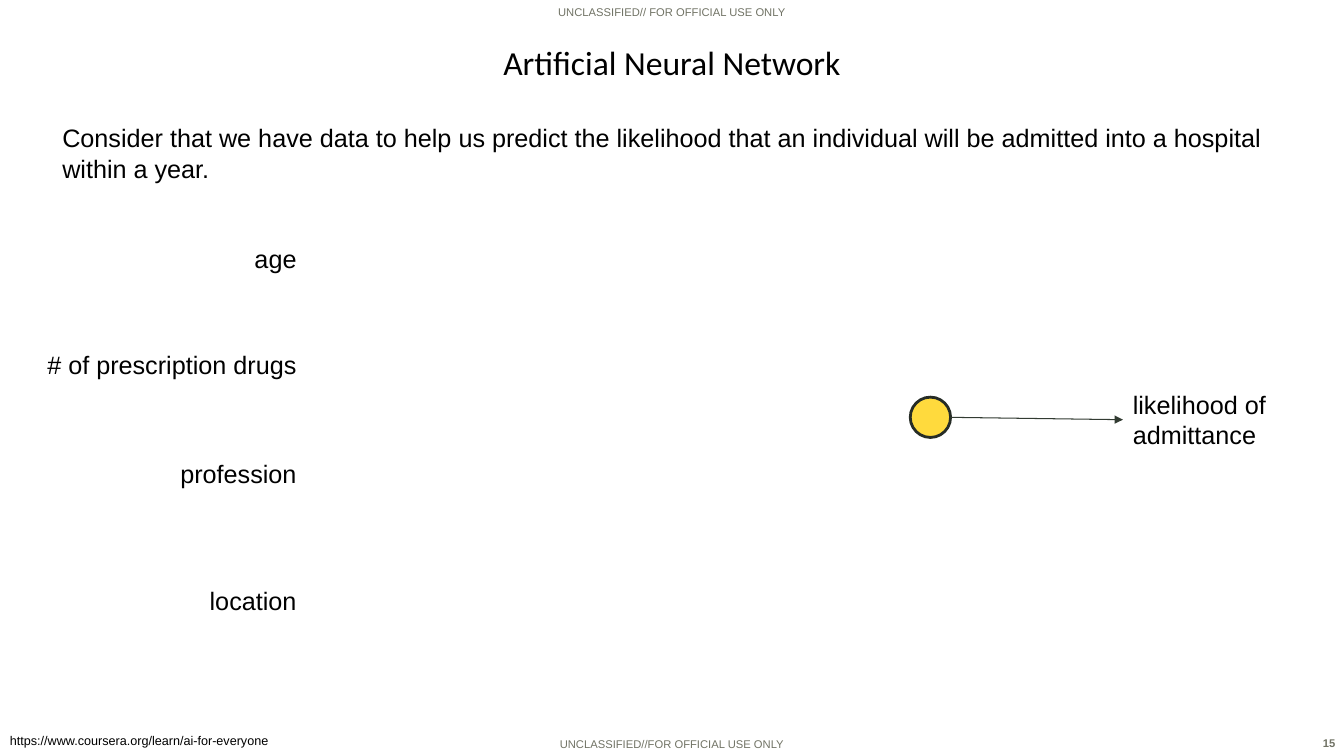
from pptx import Presentation
from pptx.dml.color import RGBColor
from pptx.enum.shapes import MSO_CONNECTOR as Conn, MSO_SHAPE as Kind
from pptx.enum.text import MSO_ANCHOR as Anchor, PP_ALIGN as Align
from pptx.oxml.ns import qn
from pptx.util import Pt
from lxml.etree import SubElement as Sub


def color(code):
    return RGBColor.from_string(code)


class Page:
    font, size, ink = "Arial", 18, "000000"
    gray = "717365"

    def __init__(self, slide):
        self.shapes = slide.shapes

    def text(self, box, words, size=None, ink=None, font=None, bold=False,
             align=Align.LEFT, anchor=Anchor.TOP, space=None, wrap=True):
        label = self.shapes.add_textbox(*map(Pt, box))
        frame = label.text_frame
        frame.word_wrap = wrap
        frame.vertical_anchor = anchor
        para = frame.paragraphs[0]
        para.alignment = align
        if space:
            para.line_spacing = space
        run = para.add_run()
        run.text = words
        run.font.name = font or self.font
        run.font.size = Pt(size or self.size)
        run.font.bold = bold
        run.font.color.rgb = color(ink or self.ink)
        return label

    def mark(self, box, words):
        self.text(box, words, 8, self.gray, align=Align.CENTER, anchor=Anchor.BOTTOM)

    def node(self, box, fill, edge, width):
        dot = self.shapes.add_shape(Kind.OVAL, *map(Pt, box))
        dot.shadow.inherit = False
        dot.fill.solid()
        dot.fill.fore_color.rgb = color(fill)
        dot.line.color.rgb = color(edge)
        dot.line.width = Pt(width)

    def arrow(self, start, end, target, ink, width):
        line = self.shapes.add_connector(Conn.STRAIGHT, *map(Pt, start + end))
        line.end_connect(target, 1)
        line.line.color.rgb = color(ink)
        line.line.width = Pt(width)
        props = line._element.spPr
        Sub(props.find(qn("a:ln")), qn("a:tailEnd"), type="triangle")
        Sub(props, qn("a:effectLst"))


def main():
    deck = Presentation()
    deck.slide_width, deck.slide_height = Pt(960), Pt(540)
    page = Page(deck.slides.add_slide(deck.slide_layouts[6]))

    # Markings and page number
    page.mark((144, 522.7, 672, 17.3), "UNCLASSIFIED//FOR OFFICIAL USE ONLY")
    page.mark((0, 0, 960, 17.3), "UNCLASSIFIED// FOR OFFICIAL USE ONLY")
    page.text((917, 522.7, 44, 17.3), "15", 8, page.gray, bold=True, align=Align.RIGHT)

    # Title and introduction
    page.text((0, 26.6, 960, 39.6), "Artificial Neural Network", 24, font="Calibri",
              align=Align.CENTER, anchor=Anchor.MIDDLE, space=0.9)
    page.text((37.4, 84.2, 898.6, 33.1),
              "Consider that we have data to help us predict the likelihood that "
              "an individual will be admitted into a hospital within a year.")

    # Inputs, flush along one right edge
    edge = 218.9
    inputs = [("age", 169.9, 57.6), ("# of prescription drugs", 246.2, 200.2),
              ("profession", 324, 229.7), ("location", 414.7, 177.8)]
    for name, top, width in inputs:
        page.text((edge - width, top, width, 29), name, align=Align.RIGHT)

    # Output node and its result
    page.node((650.2, 283.7, 28.8, 28.8), "FFDA3D", "262C26", 2)
    result = page.text((802.1, 274.3, 117.4, 51), "likelihood of admittance")
    page.arrow((679, 298.1), (802.1, 299.8), result, "323B32", 0.75)

    # Source link
    page.text((0, 519.8, 201.6, 18), "https://www.coursera.org/learn/ai-for-everyone",
              9, wrap=False)

    deck.save("out.pptx")


if __name__ == "__main__":
    main()
